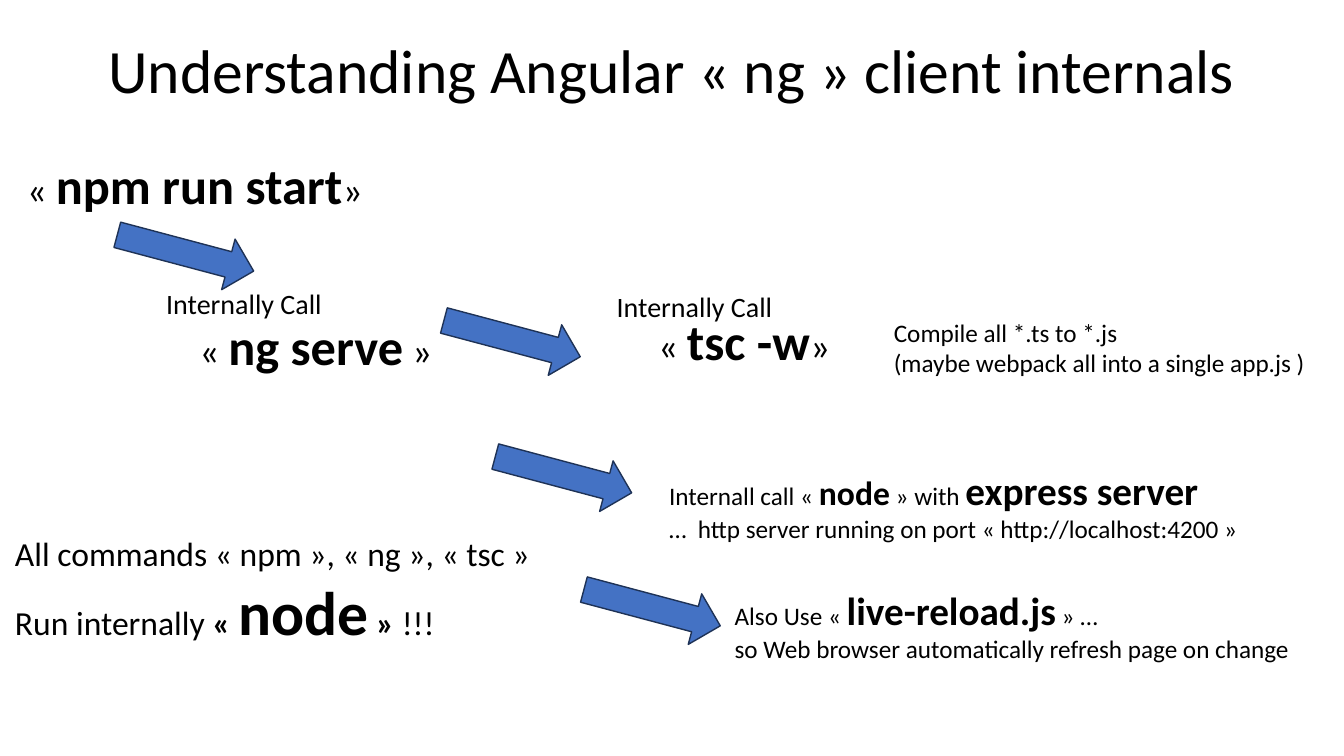
from dataclasses import dataclass

import pptx
import pptx.dml.color
import pptx.enum.shapes
import pptx.enum.text
import pptx.util

Pt = pptx.util.Pt


@dataclass(frozen=True)
class Theme:
    font: str = "Calibri"
    ink: str = "000000"
    blue: str = "4472C4"
    edge: str = "1E3256"
    small: int = 18
    call: int = 20
    body: int = 24
    large: int = 28
    code: int = 36
    head: int = 44


@dataclass(frozen=True)
class Span:
    text: str
    size: int
    bold: bool = False


@dataclass(frozen=True)
class Note:
    left: float
    top: float
    width: float
    height: float
    lines: list[list[Span]]


@dataclass(frozen=True)
class Arrow:
    left: float
    top: float


THEME = Theme()


def color(code: str) -> pptx.dml.color.RGBColor:
    return pptx.dml.color.RGBColor.from_string(code)


def write(para, text: str, *, size: int, bold: bool = False) -> None:
    run = para.add_run()
    run.text = text
    run.font.name = THEME.font
    run.font.size = Pt(size)
    run.font.bold = bold
    run.font.color.rgb = color(THEME.ink)


def command(name: str, close: str = "»") -> list[Span]:
    """Give one line with a bold command between quotes."""
    return [Span("« ", THEME.large), Span(name, THEME.code, True), Span(close, THEME.large)]


def place(shape, left: float, top: float, width: float, height: float) -> None:
    shape.left, shape.top = Pt(left), Pt(top)
    shape.width, shape.height = Pt(width), Pt(height)


def add_title(slide, text: str) -> None:
    title = slide.shapes.title
    place(title, 66, 0, 828, 104.4)
    frame = title.text_frame
    frame.auto_size = pptx.enum.text.MSO_AUTO_SIZE.NONE
    frame.vertical_anchor = pptx.enum.text.MSO_ANCHOR.MIDDLE
    para = frame.paragraphs[0]
    para.alignment = pptx.enum.text.PP_ALIGN.CENTER
    para.line_spacing = 0.9
    write(para, text, size=THEME.head)


def add_note(slide, note: Note) -> None:
    box = slide.shapes.add_textbox(
        Pt(note.left), Pt(note.top), Pt(note.width), Pt(note.height)
    )
    frame = box.text_frame
    frame.word_wrap = False
    frame.auto_size = pptx.enum.text.MSO_AUTO_SIZE.SHAPE_TO_FIT_TEXT
    for i, line in enumerate(note.lines):
        para = frame.add_paragraph() if i else frame.paragraphs[0]
        for span in line:
            write(para, span.text, size=span.size, bold=span.bold)


def add_arrow(slide, arrow: Arrow) -> None:
    shape = slide.shapes.add_shape(
        pptx.enum.shapes.MSO_SHAPE.RIGHT_ARROW,
        Pt(arrow.left), Pt(arrow.top), Pt(100.8), Pt(37.4),
    )
    shape.rotation = 14.9
    shape.shadow.inherit = False
    shape.fill.solid()
    shape.fill.fore_color.rgb = color(THEME.blue)
    shape.line.color.rgb = color(THEME.edge)
    shape.line.width = Pt(1)


ARROWS = [
    Arrow(82.1, 162),
    Arrow(315.4, 223.2),
    Arrow(352.1, 320.4),
    Arrow(415.4, 415.4),
]

CALL = [[Span("Internally Call", THEME.call)]]

NOTES = [
    Note(12.2, 106.6, 257, 51, [command("npm run start")]),
    Note(111.6, 200.9, 131, 31.5, CALL),
    Note(135.4, 221.8, 182.9, 51, [command("ng serve", " »")]),
    Note(433.4, 203, 131, 31.5, CALL),
    Note(463, 218.2, 139, 51, [command("tsc -w")]),
    Note(631.4, 223.2, 311.8, 51, [
        [Span("Compile all *.ts to *.js", THEME.small)],
        [Span("(maybe webpack all into a single app.js )", THEME.small)],
    ]),
    Note(470.9, 329.8, 426.2, 63.4, [
        [
            Span("Internall call « ", THEME.small),
            Span("node", THEME.body, True),
            Span(" » with ", THEME.small),
            Span("express server", THEME.large, True),
        ],
        [Span("…  http server running on port « http://localhost:4200 »", THEME.small)],
    ]),
    Note(517.7, 415.4, 415.4, 63.4, [
        [
            Span("Also Use « ", THEME.small),
            Span("live-reload.js", THEME.large, True),
            Span(" » …", THEME.small),
        ],
        [Span("so Web browser automatically refresh page on change", THEME.small)],
    ]),
    Note(3.6, 377.3, 385.2, 90, [
        [Span("All commands « npm », « ng », « tsc »", THEME.body)],
        [
            Span("Run internally ", THEME.body),
            Span("« ", THEME.body, True),
            Span("node", THEME.head, True),
            Span(" » ", THEME.body, True),
            Span("!!!", THEME.body),
        ],
    ]),
]


def main() -> None:
    deck = pptx.Presentation()
    deck.slide_width, deck.slide_height = Pt(960), Pt(540)
    slide = deck.slides.add_slide(deck.slide_layouts.get_by_name("Title Only"))
    add_title(slide, "Understanding Angular « ng » client internals")
    for arrow in ARROWS:
        add_arrow(slide, arrow)
    for note in NOTES:
        add_note(slide, note)
    deck.save("out.pptx")


if __name__ == "__main__":
    main()
